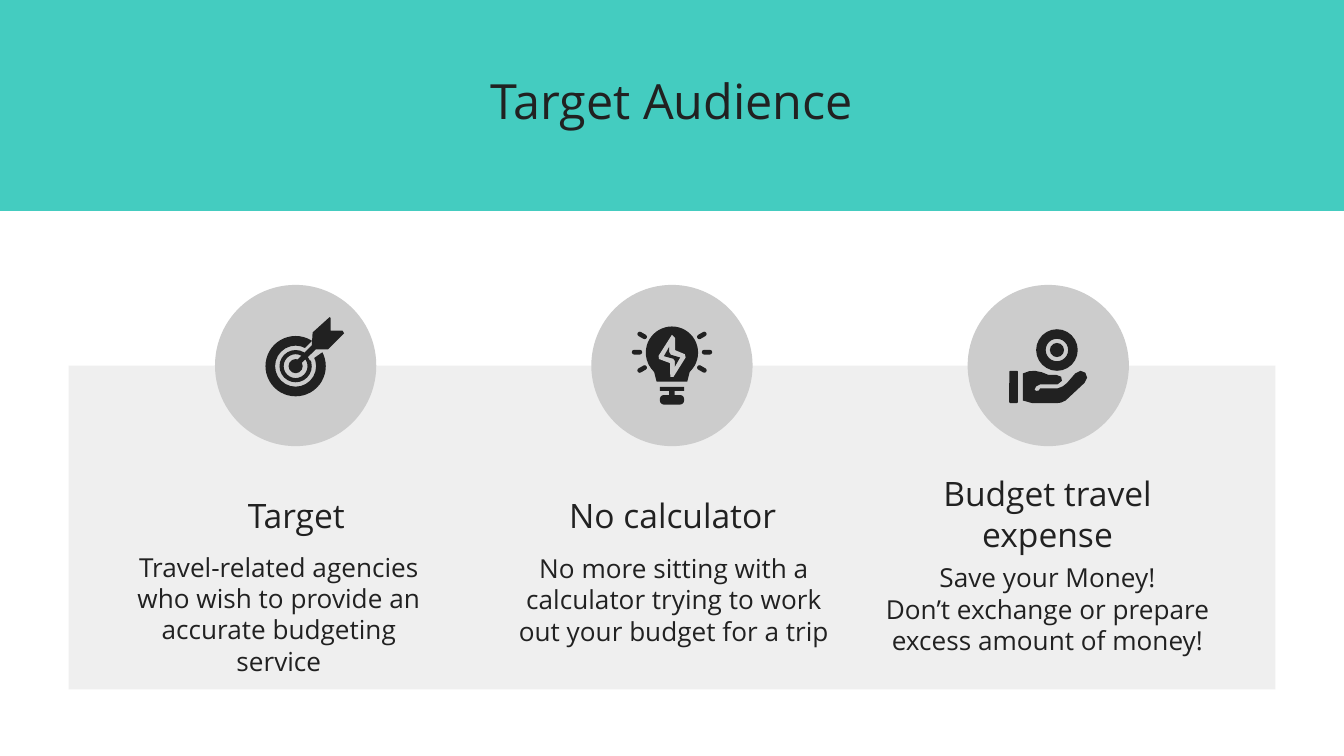
from collections import namedtuple

from pptx import Presentation
from pptx import util as u
from pptx.dml.color import RGBColor
from pptx.enum import shapes, text

WIDTH = 10
HEIGHT = WIDTH * 9 / 16
FONT = "Open Sans"
INK, TEAL, PANEL, DISC = "212121", "44CCC0", "EFEFEF", "CCCCCC"
KIND = shapes.MSO_SHAPE
ANCHOR = text.MSO_ANCHOR
Box = namedtuple("Box", "left top width height")

FIRST_COLUMN, COLUMN_STEP = 1.6, 2.8
DISC_TOP, DISC_SIZE = 2.12, 1.2

DART_GAP = [(55, 40), (61, 34), (69, 40), (59, 47)]
DART = [(71, 20), (60.5, 29.5), (60, 37.5), (49, 48.5), (51, 51), (62.5, 40),
        (70, 40), (80, 30), (79, 28.3), (71.7, 28.3), (71.7, 20.5)]
BULB_NECK = [(35.5, 49), (64.5, 49), (61, 54), (59.5, 60), (40.5, 60), (39, 54)]
BOLT_RIM = [(50, 31), (52, 33), (52, 40.5), (58, 43), (58.5, 45), (51, 57),
            (49, 57), (48.8, 48.5), (42, 46), (41.7, 44)]
BOLT = [(48.3, 38.3), (45, 44.2), (50.8, 45.8), (51.7, 47), (51.7, 50.8),
        (55, 45), (49.2, 43.3), (48.3, 41.7)]
HAND = [(34.2, 55), (38, 53.6), (41.7, 53.3), (46, 54.2), (50, 55.8), (55, 55.8),
        (58, 57), (58.5, 59.5), (55.8, 61.7), (45, 61.7), (42.5, 63), (41.5, 65),
        (42.5, 65.8), (44.2, 65.5), (45, 64.2), (55.8, 64.2), (59, 63),
        (61.7, 60.8), (66.7, 55), (70, 53.3), (73, 54.5), (74.1, 57.5),
        (72.5, 60.8), (60.8, 71.7), (58, 73), (55.8, 73.3), (40, 73.3), (34.2, 71.7)]


def inches(values):
    return [u.Inches(value) for value in values]


def color(value):
    return RGBColor.from_string(value)


def paint(shape, fill):
    shape.shadow.inherit = False
    shape.fill.solid()
    shape.fill.fore_color.rgb = color(fill)
    shape.line.fill.background()
    return shape


def add_preset(slide, kind, box, fill):
    return paint(slide.shapes.add_shape(kind, *inches(box)), fill)


def format_text(shape, content, size, anchor):
    frame = shape.text_frame
    frame.text = content
    frame.word_wrap = True
    frame.auto_size = text.MSO_AUTO_SIZE.NONE
    frame.vertical_anchor = anchor
    frame.margin_left = frame.margin_right = u.Inches(0.1)
    frame.margin_top = frame.margin_bottom = u.Inches(0.1)
    paragraph = frame.paragraphs[0]
    paragraph.alignment = text.PP_ALIGN.CENTER
    paragraph.font.name = FONT
    paragraph.font.size = u.Pt(size)
    paragraph.font.color.rgb = color(INK)


def add_text(slide, box, content, size, anchor):
    format_text(slide.shapes.add_textbox(*inches(box)), content, size, anchor)


class Icon:
    def __init__(self, slide, box):
        self.slide, self.box = slide, box
        self.unit = box.width / 100

    def place(self, x, y):
        return self.box.left + x * self.unit, self.box.top + y * self.unit

    def preset(self, kind, x, y, width, height, adjustment=None):
        box = Box(*self.place(x, y), width * self.unit, height * self.unit)
        shape = add_preset(self.slide, kind, box, INK)
        if adjustment is not None:
            shape.adjustments[0] = adjustment
        return shape

    def round(self, kind, x, y, radius, adjustment=None):
        self.preset(kind, x - radius, y - radius, 2 * radius, 2 * radius, adjustment)

    def polygon(self, points, fill=INK):
        start, *rest = [inches(self.place(*point)) for point in points]
        builder = self.slide.shapes.build_freeform(*start, scale=1)
        builder.add_line_segments(rest, close=True)
        paint(builder.convert_to_shape(), fill)


def draw_target(icon):
    icon.round(KIND.DONUT, 50, 50.4, 18.7, 0.16)
    icon.round(KIND.DONUT, 50, 50.4, 10, 0.13)
    icon.polygon(DART_GAP, DISC)
    icon.round(KIND.OVAL, 50, 50.4, 4.4)
    icon.polygon(DART)


def draw_bulb(icon):
    icon.round(KIND.OVAL, 50, 42, 16.2)
    icon.polygon(BULB_NECK)
    icon.polygon(BOLT_RIM, DISC)
    icon.polygon(BOLT)
    icon.preset(KIND.RECTANGLE, 42.5, 63.3, 15, 2.5)
    icon.preset(KIND.RECTANGLE, 48.3, 65, 3.4, 4)
    icon.preset(KIND.ROUNDED_RECTANGLE, 42.5, 68.3, 15, 5.9, 0.4)
    for side in (-1, 1):
        for step in (-1, 0, 1):
            center = 50 + side * (21.7 - 3.2 * abs(step))
            ray = icon.preset(KIND.ROUNDED_RECTANGLE, center - 3.2,
                              40.3 + 10.4 * step, 6.4, 2.9, 0.5)
            ray.rotation = 30 * side * step


def draw_hand(icon):
    icon.round(KIND.DONUT, 55.4, 40.4, 12.9, 0.23)
    icon.round(KIND.OVAL, 55.4, 40.4, 4.4)
    icon.preset(KIND.ROUNDED_RECTANGLE, 25.8, 53.3, 5.4, 20, 0.15)
    icon.polygon(HAND)


def add_header(slide, box, title_box, title):
    band = add_preset(slide, KIND.RECTANGLE, box, TEAL)
    placeholder = slide.shapes.title
    placeholder.element.addprevious(band.element)
    placeholder.left, placeholder.top, placeholder.width, placeholder.height = inches(title_box)
    format_text(placeholder, title, 26, ANCHOR.TOP)


def add_column(slide, disc, draw, heading, heading_box, body, body_box):
    add_preset(slide, KIND.OVAL, disc, DISC)
    draw(Icon(slide, disc))
    add_text(slide, heading_box, heading, 18, ANCHOR.BOTTOM)
    add_text(slide, body_box, body, 14, ANCHOR.TOP)


def main():
    presentation = Presentation()
    presentation.slide_width, presentation.slide_height = inches((WIDTH, HEIGHT))
    slide = presentation.slides.add_slide(presentation.slide_layouts[5])
    add_header(slide, Box(-0.09, -0.07, 10.16, 1.64), Box(1.98, 0.43, 6.04, 0.49),
               "Target Audience")
    add_preset(slide, KIND.RECTANGLE, Box(0.51, 2.72, 8.98, 2.41), PANEL)

    columns = [
        (draw_target, "Target", Box(0.89, 3.59, 2.63, 0.49),
         "Travel-related agencies who wish to provide an accurate budgeting service",
         Box(0.78, 4, 2.59, 1.03)),
        (draw_bulb, "No calculator", Box(3.69, 3.59, 2.63, 0.49),
         "No more sitting with a calculator trying to work out your budget for a trip",
         Box(3.7, 4.01, 2.63, 1.03)),
        (draw_hand, "Budget travel expense", Box(6.48, 3.47, 2.63, 0.75),
         "Save your Money!\vDon’t exchange or prepare excess amount of money!",
         Box(6.48, 4.08, 2.63, 0.85)),
    ]
    for index, (draw, heading, heading_box, body, body_box) in enumerate(columns):
        disc = Box(FIRST_COLUMN + index * COLUMN_STEP, DISC_TOP, DISC_SIZE, DISC_SIZE)
        add_column(slide, disc, draw, heading, heading_box, body, body_box)

    presentation.save("out.pptx")


if __name__ == "__main__":
    main()
